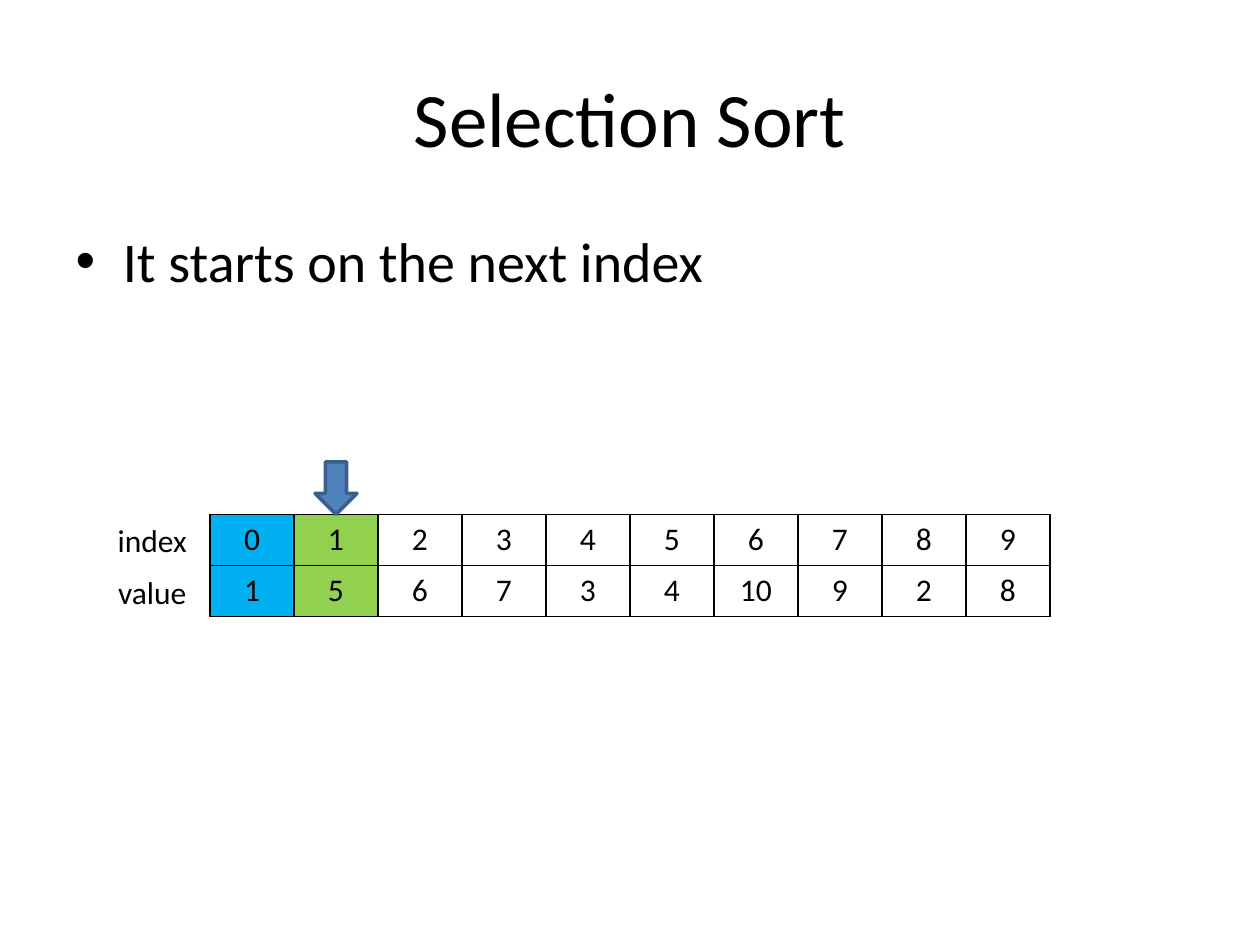
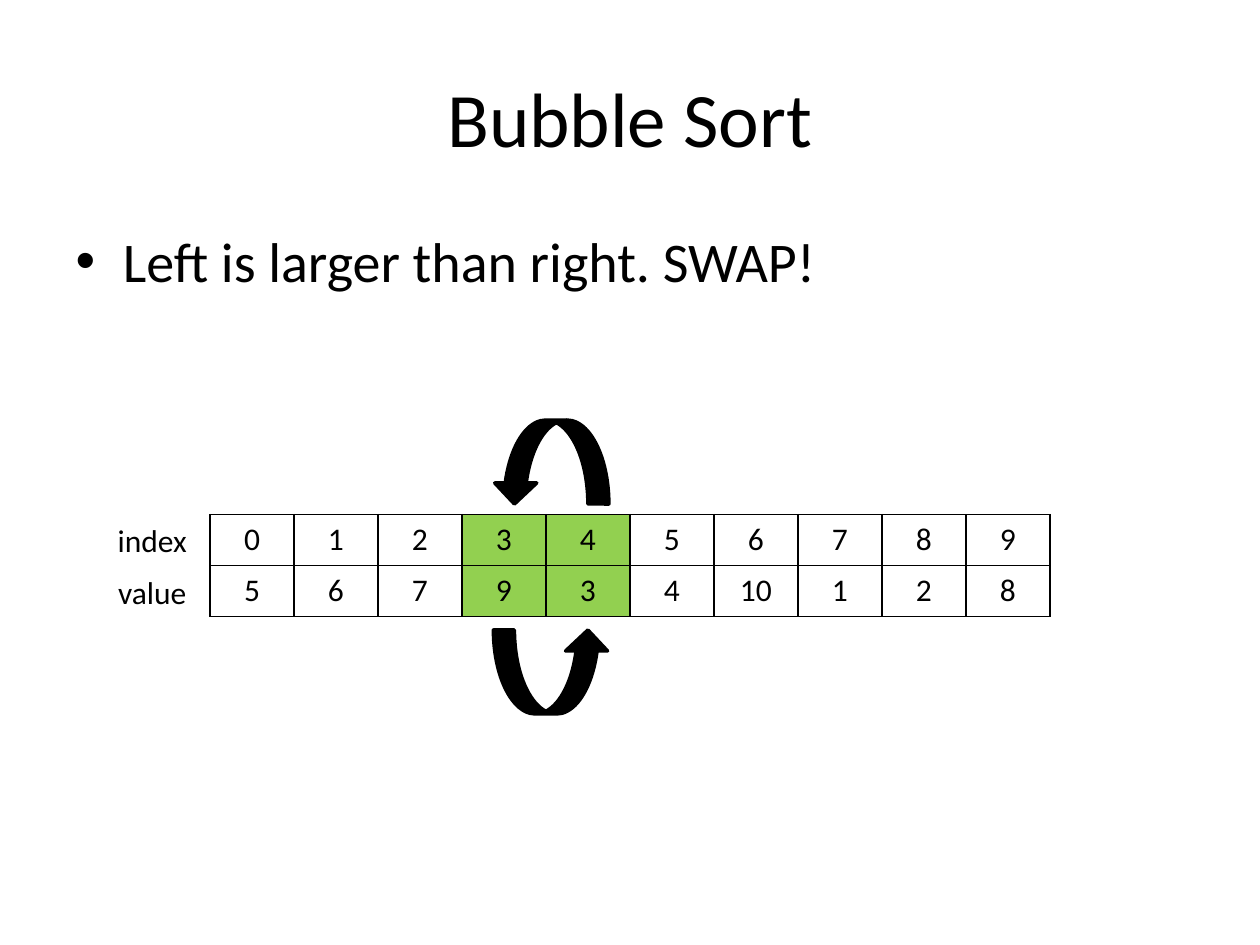
"""Build two slides that show a step of selection sort and of bubble sort."""
from dataclasses import dataclass, field

from lxml import etree
from pptx import Presentation
from pptx.dml.color import RGBColor
from pptx.enum.shapes import MSO_SHAPE
from pptx.enum.text import MSO_ANCHOR, MSO_AUTO_SIZE, PP_ALIGN
from pptx.oxml.ns import qn
from pptx.util import Inches, Pt

BLACK = RGBColor(0x00, 0x00, 0x00)
WHITE = RGBColor(0xFF, 0xFF, 0xFF)
SORTED_BLUE = RGBColor(0x00, 0xB0, 0xF0)
ACTIVE_GREEN = RGBColor(0x92, 0xD0, 0x50)
POINTER_BLUE = RGBColor(0x4F, 0x81, 0xBD)
POINTER_EDGE = RGBColor(0x3A, 0x5F, 0x8C)

CENTER = PP_ALIGN.CENTER
LEFT = PP_ALIGN.LEFT
MIDDLE = MSO_ANCHOR.MIDDLE
GROW = MSO_AUTO_SIZE.SHAPE_TO_FIT_TEXT
DOWN_ARROW = MSO_SHAPE.DOWN_ARROW
CURVED_UP = MSO_SHAPE.CURVED_UP_ARROW
CURVED_DOWN = MSO_SHAPE.CURVED_DOWN_ARROW

FONT = "Calibri"
SLIDE_W, SLIDE_H = Inches(10), Inches(7.5)
GRID_COLS = 120
UNIT = SLIDE_W // GRID_COLS
ROW_H = Pt(29.2)
BORDER_W = Pt(1)
TITLE_LAYOUT = 1


@dataclass(frozen=True)
class Box:
    """Place and size in grid units."""
    left: float
    top: float
    width: float
    height: float

    def emu(self) -> tuple[int, ...]:
        """Return left, top, width and height as slide lengths."""
        return tuple(round(n * UNIT) for n in (self.left, self.top, self.width, self.height))


@dataclass(frozen=True)
class Arrow:
    """A preset arrow with its colours."""
    kind: MSO_SHAPE
    box: Box
    fill: RGBColor = BLACK
    edge: RGBColor = BLACK
    flipped: bool = False


@dataclass(frozen=True)
class SortStep:
    """One step of a sort: its text, its array and its arrows."""
    title: str
    note: str
    values: list[int]
    arrows: list[Arrow]
    marks: dict[int, RGBColor] = field(default_factory=dict)


TITLE_BOX = Box(6, 3.6, 108, 15)
BODY_BOX = Box(6, 21, 108, 59.4)
ARRAY_BOX = Box(20, 49, 80, 9.73)
LABEL_W, LABEL_H = 11, 5
ROW_LABELS = ("index", "value")

STEPS = [
    SortStep(
        "Selection Sort", "It starts on the next index",
        [1, 5, 6, 7, 3, 4, 10, 9, 2, 8],
        [Arrow(DOWN_ARROW, Box(30, 44, 4, 5), POINTER_BLUE, POINTER_EDGE)],
        {0: SORTED_BLUE, 1: ACTIVE_GREEN},
    ),
    SortStep(
        "Bubble Sort", "Left is larger than right. SWAP!",
        [5, 6, 7, 9, 3, 4, 10, 1, 2, 8],
        [Arrow(CURVED_UP, Box(47, 60, 11, 8)),
         Arrow(CURVED_DOWN, Box(47, 40, 11, 8), flipped=True)],
        {3: ACTIVE_GREEN, 4: ACTIVE_GREEN},
    ),
]


def write(tf, text: str, size: int, align=CENTER) -> None:
    """Put one formatted paragraph in a text frame."""
    tf.text = text
    p = tf.paragraphs[0]
    p.alignment = align
    p.font.name, p.font.size = FONT, Pt(size)
    p.font.color.rgb = BLACK


def fill_placeholder(sp, box: Box, text: str, size: int, align) -> None:
    """Move a placeholder and write its text."""
    sp.left, sp.top, sp.width, sp.height = box.emu()
    write(sp.text_frame, text, size, align)


def add_borders(cell) -> None:
    """Draw a thin black line on all four sides of a cell."""
    tc_pr = cell._tc.get_or_add_tcPr()
    for i, side in enumerate(("a:lnL", "a:lnR", "a:lnT", "a:lnB")):
        ln = etree.Element(qn(side), w=str(BORDER_W))
        solid = etree.SubElement(ln, qn("a:solidFill"))
        etree.SubElement(solid, qn("a:srgbClr"), val=str(BLACK))
        tc_pr.insert(i, ln)


def add_array(s, step: SortStep) -> None:
    """Draw the array as a table of indexes over values."""
    rows = (range(len(step.values)), step.values)
    table = s.shapes.add_table(len(rows), len(step.values), *ARRAY_BOX.emu()).table
    table.first_row = table.horz_banding = False
    for row, numbers in zip(table.rows, rows):
        row.height = ROW_H
        for i, (cell, number) in enumerate(zip(row.cells, numbers)):
            write(cell.text_frame, str(number), 18)
            cell.fill.solid()
            cell.fill.fore_color.rgb = step.marks.get(i, WHITE)
            add_borders(cell)


def add_row_labels(s) -> None:
    """Name each table row on its left side."""
    for i, label in enumerate(ROW_LABELS):
        box = Box(ARRAY_BOX.left - LABEL_W, ARRAY_BOX.top + i * LABEL_H, LABEL_W, LABEL_H)
        tf = s.shapes.add_textbox(*box.emu()).text_frame
        tf.word_wrap = True
        tf.auto_size = GROW
        write(tf, label, 18)


def add_arrow(s, arrow: Arrow) -> None:
    """Draw one arrow, mirrored if asked."""
    sp = s.shapes.add_shape(arrow.kind, *arrow.box.emu())
    sp.shadow.inherit = False
    sp.fill.solid()
    sp.fill.fore_color.rgb = arrow.fill
    sp.line.color.rgb = arrow.edge
    sp.line.width = Pt(2)
    if arrow.flipped:
        sp._element.spPr.find(qn("a:xfrm")).set("flipH", "1")


def add_step(prs, step: SortStep) -> None:
    """Add the slide for one step."""
    s = prs.slides.add_slide(prs.slide_layouts[TITLE_LAYOUT])
    fill_placeholder(s.shapes.title, TITLE_BOX, step.title, 44, CENTER)
    s.shapes.title.text_frame.vertical_anchor = MIDDLE
    fill_placeholder(s.placeholders[1], BODY_BOX, step.note, 32, LEFT)
    add_array(s, step)
    add_row_labels(s)
    for arrow in step.arrows:
        add_arrow(s, arrow)


def main() -> None:
    """Build and save the deck."""
    prs = Presentation()
    prs.slide_width, prs.slide_height = SLIDE_W, SLIDE_H
    for step in STEPS:
        add_step(prs, step)
    prs.save("out.pptx")


if __name__ == "__main__":
    main()
